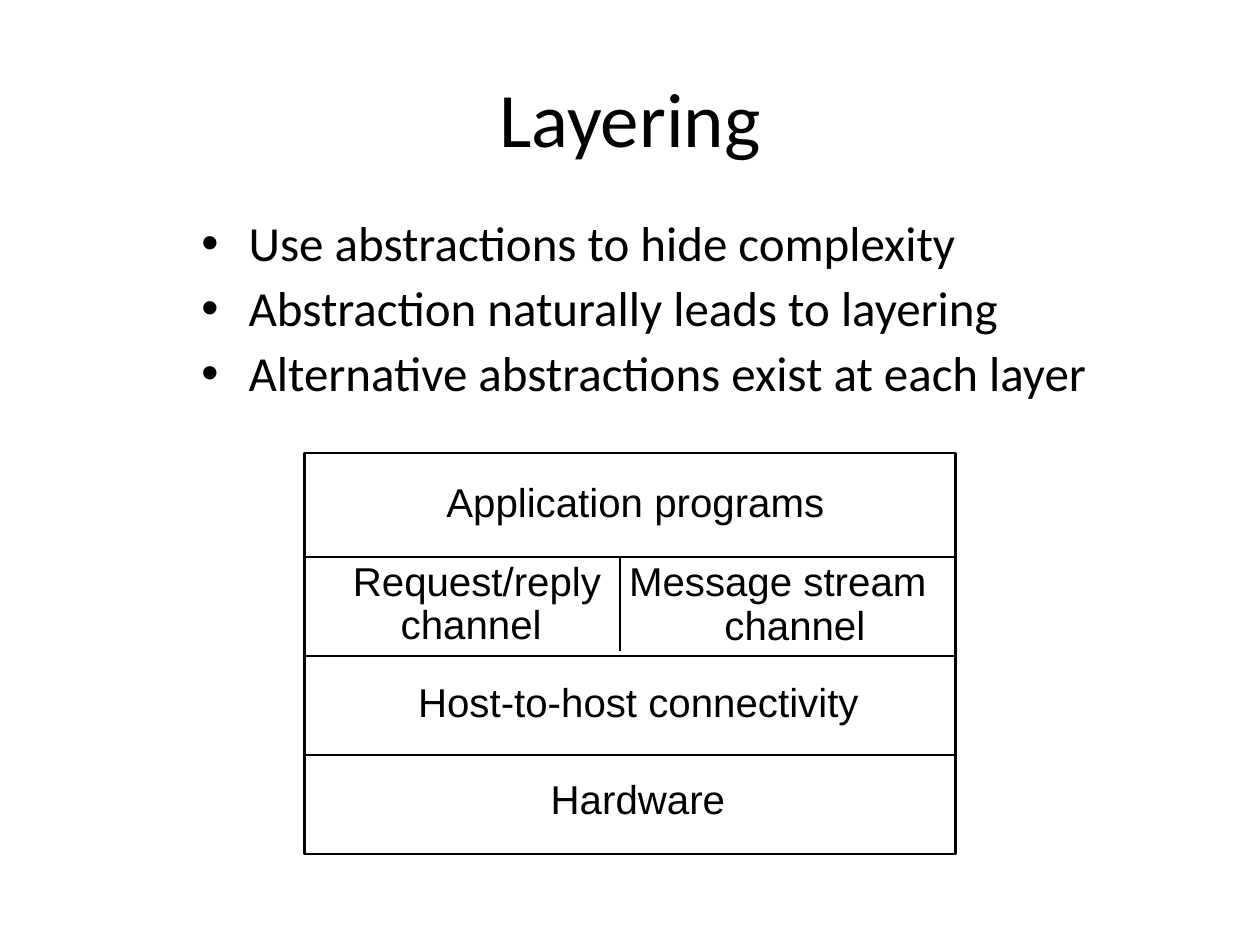
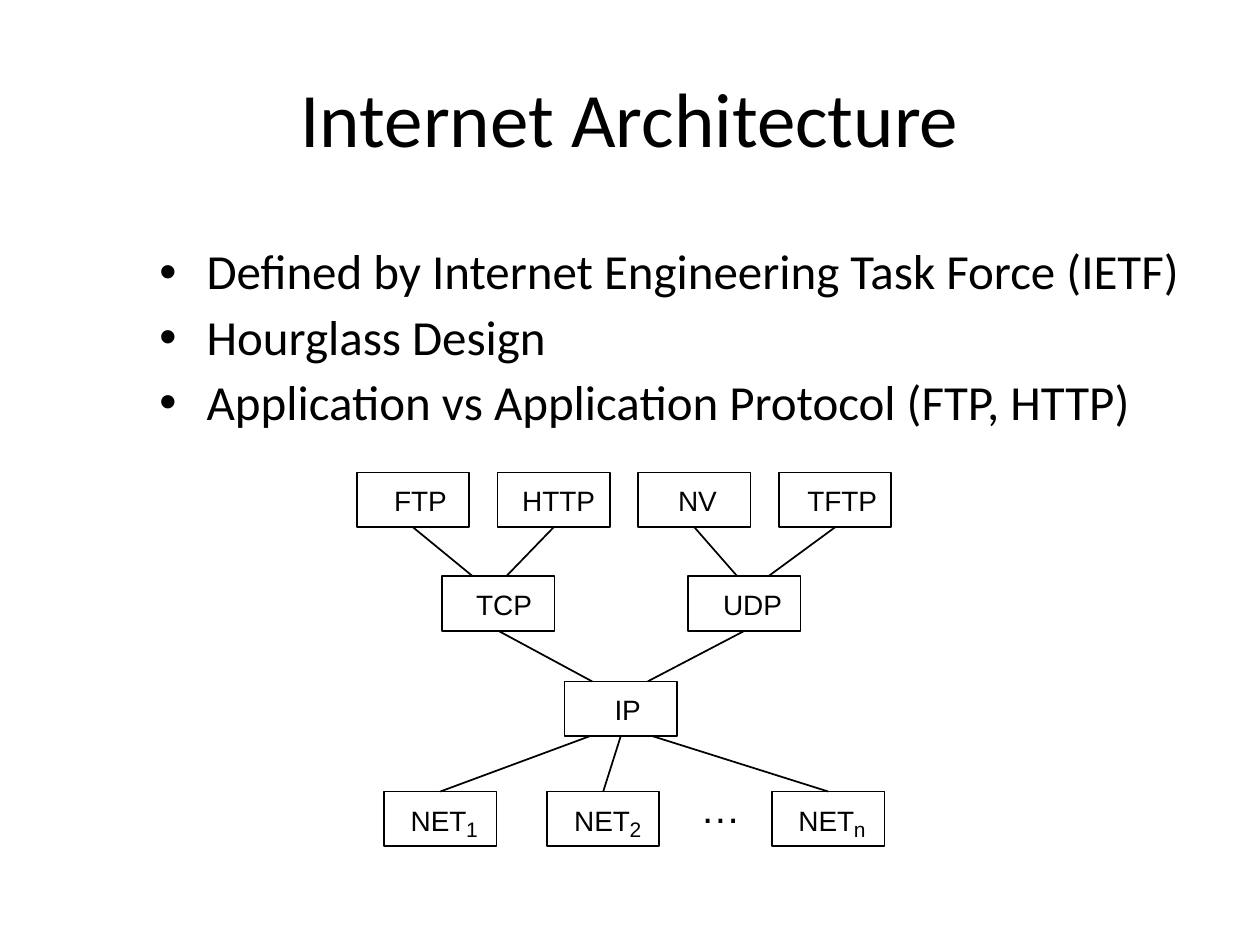
"""Build two slides on network layering and the Internet architecture."""
from lxml.etree import SubElement
from pptx import Presentation
from pptx.dml.color import RGBColor
from pptx.enum.shapes import MSO_CONNECTOR as Connector, MSO_SHAPE as Preset
from pptx.enum.text import MSO_ANCHOR as Anchor, MSO_AUTO_SIZE as AutoSize, PP_ALIGN as Align
from pptx.oxml.ns import qn
from pptx.util import Pt

COLORS = {"ink": "000000", "paper": "FFFFFF"}
HEADING_FONT, DIAGRAM_FONT = "Calibri", "Arial"


def add_text(page, frame, lines, size, font=DIAGRAM_FONT, wrap=False):
    """Add a centred text box; an unwrapped one has no margins."""
    box = page.shapes.add_textbox(*map(Pt, frame))
    text = box.text_frame
    text.word_wrap = wrap
    if not wrap:
        text.margin_left = text.margin_right = text.margin_top = text.margin_bottom = 0
        text.auto_size = AutoSize.SHAPE_TO_FIT_TEXT
    text.text = "\n".join(lines)
    for para in text.paragraphs:
        para.alignment = Align.CENTER
        para.font.size = Pt(size)
        para.font.name = font
        para.font.color.rgb = RGBColor.from_string(COLORS["ink"])
    return text


def draw_outline(shape, weight):
    """Give a box or connector a plain line without a shadow."""
    shape.line.color.rgb = RGBColor.from_string(COLORS["ink"])
    shape.line.width = Pt(weight)
    SubElement(shape._element.spPr, qn("a:effectLst"))


deck = Presentation()
deck.slide_width, deck.slide_height = Pt(720), Pt(540)

outlines = [
    ("Layering", (108, 121.7, 558, 120), [
        "Use abstractions to hide complexity",
        "Abstraction naturally leads to layering",
        "Alternative abstractions exist at each layer",
    ]),
    ("Internet Architecture", (84, 138, 636, 324), [
        "Defined by Internet Engineering Task Force (IETF)",
        "Hourglass Design",
        "Application vs Application Protocol (FTP, HTTP)",
    ]),
]
pages = []
for title, body_frame, bullets in outlines:
    page = deck.slides.add_slide(deck.slide_layouts[6])
    page.background.fill.solid()
    page.background.fill.fore_color.rgb = RGBColor.from_string(COLORS["paper"])
    heading = add_text(page, (36, 21.6, 648, 90), [title], 44, HEADING_FONT, True)
    heading.vertical_anchor = Anchor.MIDDLE
    body = add_text(page, body_frame, bullets, 28, HEADING_FONT, True)
    for para in body.paragraphs:
        para.alignment = Align.LEFT
        para.line_spacing = 0.9
        para.space_before = Pt(7)
        properties = para._p.get_or_add_pPr()
        properties.set("marL", str(Pt(27)))
        properties.set("indent", str(-Pt(27)))
        SubElement(properties, qn("a:buFont")).set("typeface", "Arial")
        SubElement(properties, qn("a:buChar")).set("char", "•")
    pages.append(page)
layering, architecture = pages

layer_top = 258.8
for layer_height in (59.6, 56.5, 56.5, 56.5):
    layer = layering.shapes.add_shape(
        Preset.RECTANGLE, Pt(174), Pt(layer_top), Pt(372), Pt(layer_height))
    layer.fill.background()
    draw_outline(layer, 1.39)
    layer_top += layer_height

divider = layering.shapes.add_connector(
    Connector.STRAIGHT, Pt(354.2), Pt(318.2), Pt(354.2), Pt(372.2))
draw_outline(divider, 1.39)

layer_labels = [
    ("Application programs", 252.9, 272.9, 220.7),
    ("Request/reply", 199.4, 317.9, 146.6),
    ("channel", 227, 342.3, 84.6),
    ("Message stream", 357.3, 317.9, 174.6),
    ("channel", 412, 343, 84.6),
    ("Host-to-host connectivity", 237, 387.1, 256),
    ("Hardware", 312.6, 442.5, 104),
]
for words, left, top, width in layer_labels:
    add_text(layering, (left, top, width, 27.4), [words], 23)

NODE_WIDTH, NODE_HEIGHT = 64.2, 31.3
APPLICATION_LEFT, APPLICATION_STEP = 203.9, 80.4
LABEL_WIDTH = 48
applications = [("FTP", 240.3), ("HTTP", 319.2), ("NV", 398.5), ("TFTP", 481.3)]
nodes = [(name, "", APPLICATION_LEFT + index * APPLICATION_STEP, 270, label_center)
         for index, (name, label_center) in enumerate(applications)]
nodes += [
    ("TCP", "", 252.7, 329.2, 288),
    ("UDP", "", 393.3, 329.2, 430),
    ("IP", "", 322.6, 389.4, 358.7),
    ("NET", "1", 219.5, 452.3, 250.6),
    ("NET", "2", 312.6, 452.3, 344.1),
    ("NET", "n", 441.2, 452.3, 472.2),
]
node_boxes = {}
for name, subscript, left, top, label_center in nodes:
    node = architecture.shapes.add_shape(
        Preset.RECTANGLE, Pt(left), Pt(top), Pt(NODE_WIDTH), Pt(NODE_HEIGHT))
    node.fill.background()
    draw_outline(node, 1)
    node_boxes[name + subscript] = node
    label_left = label_center - LABEL_WIDTH / 2
    add_text(architecture, (label_left, top + 6.6, LABEL_WIDTH, 19.4), [name], 16)
    if subscript:
        add_text(architecture, (label_center + 14, top + 14.5, 10, 14.4), [subscript], 12)
add_text(architecture, (398.3, 447.8, 27, 27.4), ["…"], 23)

links = [
    ("FTP", "TCP", None, 270),
    ("HTTP", "TCP", None, 289.4),
    ("NV", "UDP", None, 421.2),
    ("TFTP", "UDP", None, 439.2),
    ("TCP", "IP", None, 338.4),
    ("UDP", "IP", None, 370.1),
    ("IP", "NET1", 337, None),
    ("IP", "NET2", None, None),
    ("IP", "NETn", 373, None),
]
for upper_name, lower_name, upper_x, lower_x in links:
    upper, lower = node_boxes[upper_name], node_boxes[lower_name]
    link = architecture.shapes.add_connector(
        Connector.STRAIGHT, Pt(upper_x or 0), upper.top + upper.height,
        Pt(lower_x or 0), lower.top)
    if upper_x is None:
        link.begin_connect(upper, 2)
    if lower_x is None:
        link.end_connect(lower, 0)
    draw_outline(link, 1)

deck.save("out.pptx")
